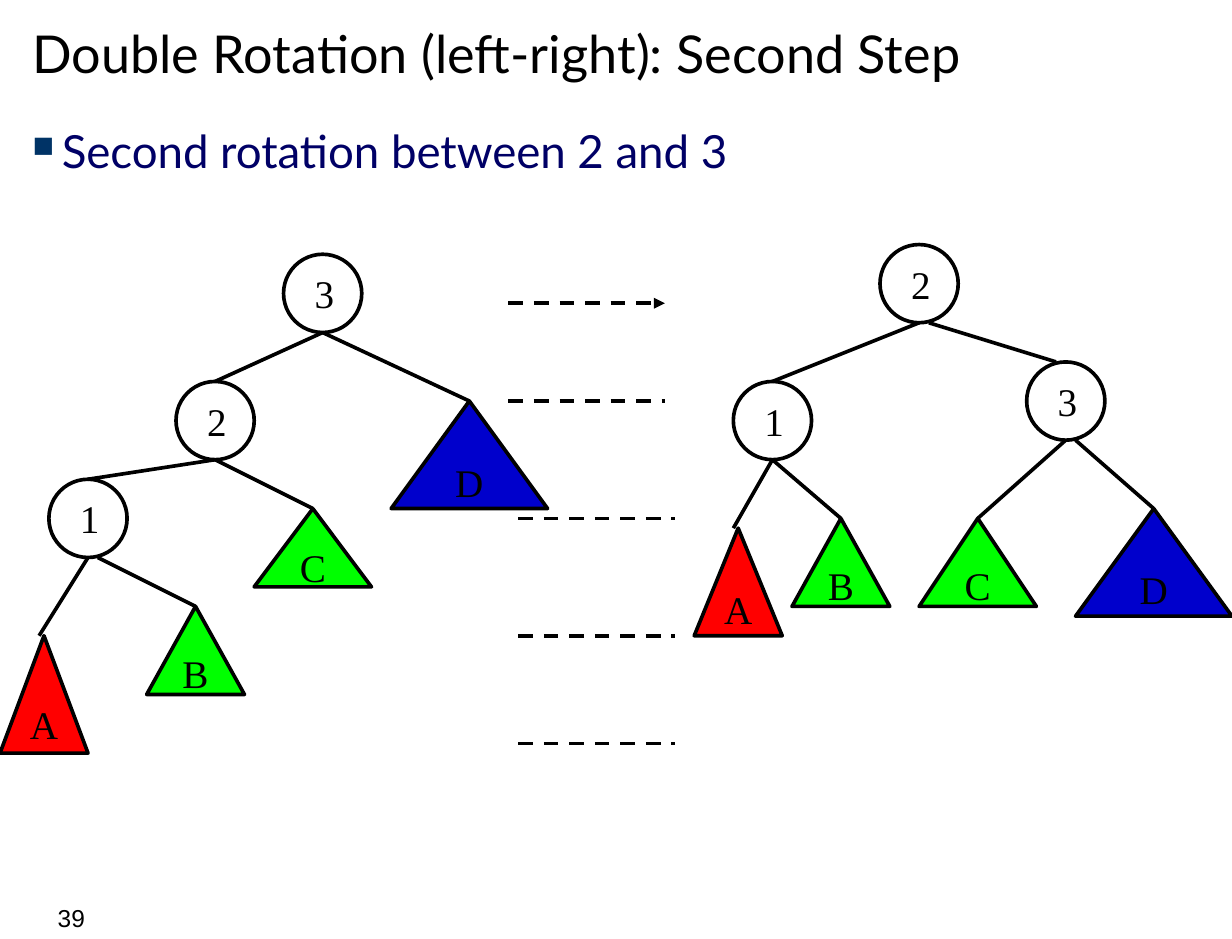
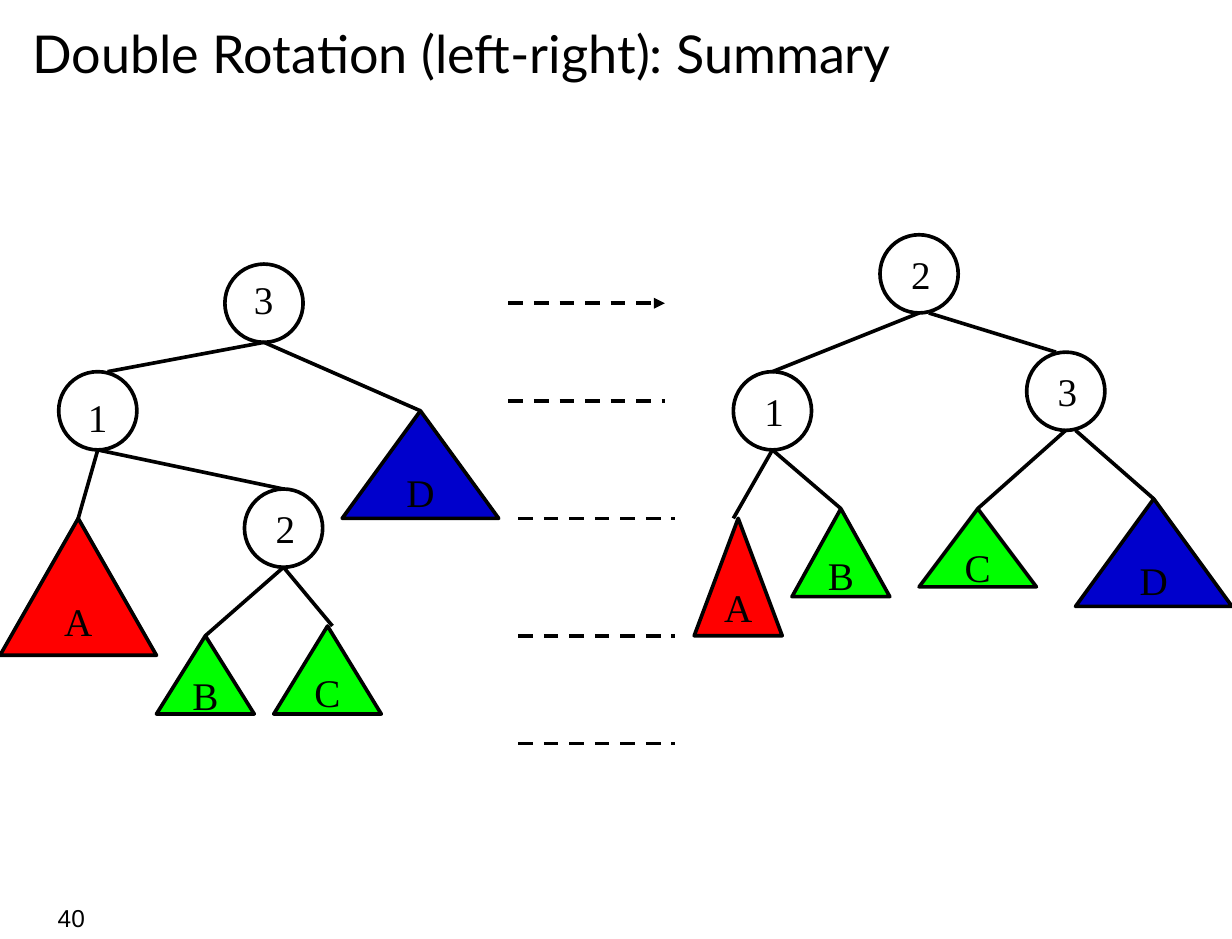
import pptx
import pptx.dml.color
import pptx.enum.dml
import pptx.enum.shapes
import pptx.enum.text
import pptx.util
from lxml import etree
from pptx.oxml.ns import qn

SHAPE = pptx.enum.shapes.MSO_SHAPE
ALIGN = pptx.enum.text.PP_ALIGN
ANCHOR = pptx.enum.text.MSO_ANCHOR

# The slide is a grid of square cells, twelve to the inch.
CELL = pptx.util.Inches(1) // 12
COLUMNS, ROWS = 126, 96
NODE = 8
LABEL_SHIFT = (2, 1)
INK, HEADING_INK, BULLET_INK = "000000", "000066", "003366"
SUBTREE_FILLS = {"A": "FF0000", "B": "00FF00", "C": "00FF00", "D": "0000CC"}
HEADING_FONT, NUMBER_FONT, TREE_FONT = "Lato", "Arial", "Times New Roman"

# Nodes: column, row. Subtrees: column, row, width, height.
# Edges: parent, child, shift of the start, shift of the end.
UNBALANCED = {
    "nodes": {"3": (29, 26), "2": (18, 39), "1": (5, 49)},
    "subtrees": {"A": (0, 65, 9, 12), "B": (15, 62, 10, 9),
                 "C": (26, 52, 12, 8), "D": (40, 41, 16, 11)},
    "edges": [("3", "2", 0, 0), ("3", "D", 0, 0), ("2", "1", 0, 0),
              ("2", "C", 0, 0), ("1", "A", 0, -0.5), ("1", "B", 1, 0)],
}
INITIAL = {
    "nodes": {"3": (23, 27), "1": (6, 38), "2": (25, 50)},
    "subtrees": {"A": (0, 53, 16, 14), "B": (16, 65, 10, 8),
                 "C": (28, 64, 11, 9), "D": (35, 42, 16, 11)},
    "edges": [("3", "1", 0, 1), ("3", "D", 0, 0), ("1", "A", 0, 0),
              ("1", "2", 0, 0), ("2", "B", 0, 0), ("2", "C", 0, 0.5)],
    "label_shifts": {"3": (1.8, 0.6), "1": (1.8, 1.6)},
}


def balanced_tree(a_height, c_height):
    return {
        "nodes": {"2": (19, 0), "1": (4, 14), "3": (34, 12)},
        "subtrees": {"A": (0, 29, 9, a_height), "B": (10, 28, 10, 9),
                     "C": (23, 28, 12, c_height), "D": (39, 27, 16, 11)},
        "edges": [("2", "1", 0, 0), ("2", "3", 1, -1), ("1", "A", 0, -0.5),
                  ("1", "B", 0, 0), ("3", "C", 0, 0), ("3", "D", 1, 0)],
    }


def rgb(hex_color):
    return pptx.dml.color.RGBColor.from_string(hex_color)


def cells(*counts):
    return [round(count * CELL) for count in counts]


def write(paragraph, text, size, font, color=INK):
    run = paragraph.add_run()
    run.text = text
    run.font.size = pptx.util.Pt(size)
    run.font.name = font
    run.font.color.rgb = rgb(color)


def add_text(slide, box, text, size, font, color=INK, anchor=ANCHOR.TOP,
             align=ALIGN.LEFT, wrap=True, side_inset=0.11):
    textbox = slide.shapes.add_textbox(*cells(*box))
    frame = textbox.text_frame
    frame.word_wrap = wrap
    frame.vertical_anchor = anchor
    frame.margin_left = frame.margin_right = pptx.util.Inches(side_inset)
    paragraph = frame.paragraphs[0]
    paragraph.alignment = align
    write(paragraph, text, size, font, color)
    return frame


def add_line(slide, start, end):
    line = slide.shapes.add_connector(
        pptx.enum.shapes.MSO_CONNECTOR.STRAIGHT, *cells(*start, *end))
    line.line.color.rgb = rgb(INK)
    line.line.width = pptx.util.Pt(2.25)
    etree.SubElement(line.line._get_or_add_ln().getparent(), qn("a:effectLst"))
    return line


def add_outlined(slide, preset, box, fill=None):
    outlined = slide.shapes.add_shape(preset, *cells(*box))
    outlined.shadow.inherit = False
    outlined.line.color.rgb = rgb(INK)
    outlined.line.width = pptx.util.Pt(2.25)
    if fill:
        outlined.fill.solid()
        outlined.fill.fore_color.rgb = rgb(fill)
    else:
        outlined.fill.background()
    return outlined


def add_node(slide, key, box, label_shift):
    left, top = box[:2]
    circle = add_outlined(slide, SHAPE.OVAL, box)
    label_box = (left + label_shift[0], top + label_shift[1], 4.32, 6)
    frame = add_text(slide, label_box, key, 24, TREE_FONT, wrap=False, side_inset=0.1)
    frame.auto_size = pptx.enum.text.MSO_AUTO_SIZE.SHAPE_TO_FIT_TEXT
    return circle


def add_subtree(slide, letter, box):
    triangle = add_outlined(slide, SHAPE.ISOSCELES_TRIANGLE, box, SUBTREE_FILLS[letter])
    frame = triangle.text_frame
    frame.word_wrap = False
    frame.vertical_anchor = ANCHOR.MIDDLE
    paragraph = frame.paragraphs[0]
    paragraph.alignment = ALIGN.CENTER
    write(paragraph, letter, 24, TREE_FONT)
    return triangle


def add_tree(slide, tree, left=0, top=0):
    boxes, parts = {}, {}
    shifts = tree.get("label_shifts", {})
    for key, (column, row) in tree["nodes"].items():
        boxes[key] = (left + column, top + row, NODE, NODE)
        parts[key] = add_node(slide, key, boxes[key], shifts.get(key, LABEL_SHIFT))
    for letter, (column, row, width, height) in tree["subtrees"].items():
        boxes[letter] = (left + column, top + row, width, height)
        parts[letter] = add_subtree(slide, letter, boxes[letter])
    for parent, child, start_shift, end_shift in tree["edges"]:
        parent_left, parent_top, parent_width, parent_height = boxes[parent]
        child_left, child_top, child_width, _ = boxes[child]
        edge = add_line(
            slide,
            (parent_left + parent_width / 2 + start_shift, parent_top + parent_height),
            (child_left + child_width / 2 + end_shift, child_top))
        if end_shift == 0:
            edge.end_connect(parts[child], 0)


def add_rotation_dashes(slide, left=52, top=31, length=16):
    """Draw the dashed divider, whose first dash line is the arrow."""
    for column, row in [(0, 0), (0, 10), (1, 22), (1, 34), (1, 45)]:
        start = (left + column, top + row)
        dashes = add_line(slide, start, (start[0] + length, start[1]))
        dashes.line.dash_style = pptx.enum.dml.MSO_LINE.DASH
        if row == 0:
            etree.SubElement(dashes.line._get_or_add_ln(), qn("a:tailEnd"), type="triangle")


def add_bullet_line(slide, text):
    box = (2, 12, 0.96 * COLUMNS, 0.82 * ROWS)
    frame = add_text(slide, box, text, 28, HEADING_FONT, HEADING_INK)
    properties = frame.paragraphs[0]._p.get_or_add_pPr()
    indent = pptx.util.Inches(0.25)
    properties.set("marL", str(indent))
    properties.set("indent", str(-indent))
    bullet_color = etree.SubElement(properties, qn("a:buClr"))
    etree.SubElement(bullet_color, qn("a:srgbClr"), val=BULLET_INK)
    etree.SubElement(properties, qn("a:buSzPct"), val="65000")
    etree.SubElement(properties, qn("a:buChar"), char="■")


def add_rotation_slide(deck, number, title, before, after, after_top, bullet=None):
    slide = deck.slides.add_slide(deck.slide_layouts[6])
    add_text(slide, (0, 91.7, 10, 4.3), str(number), 15, NUMBER_FONT, align=ALIGN.RIGHT)
    add_text(slide, (2, 0, 0.96 * COLUMNS, 10.7), title, 32, HEADING_FONT,
             anchor=ANCHOR.MIDDLE)
    if bullet:
        add_bullet_line(slide, bullet)
    add_rotation_dashes(slide)
    add_tree(slide, before)
    add_tree(slide, after, left=71, top=after_top)


def main():
    deck = pptx.Presentation()
    deck.slide_width, deck.slide_height = cells(COLUMNS, ROWS)
    add_rotation_slide(deck, 39, "Double Rotation (left-right): Second Step",
                       UNBALANCED, balanced_tree(11, 9), 25,
                       "Second rotation between 2 and 3")
    add_rotation_slide(deck, 40, "Double Rotation (left-right): Summary",
                       INITIAL, balanced_tree(12, 8), 24)
    deck.save("out.pptx")


if __name__ == "__main__":
    main()
